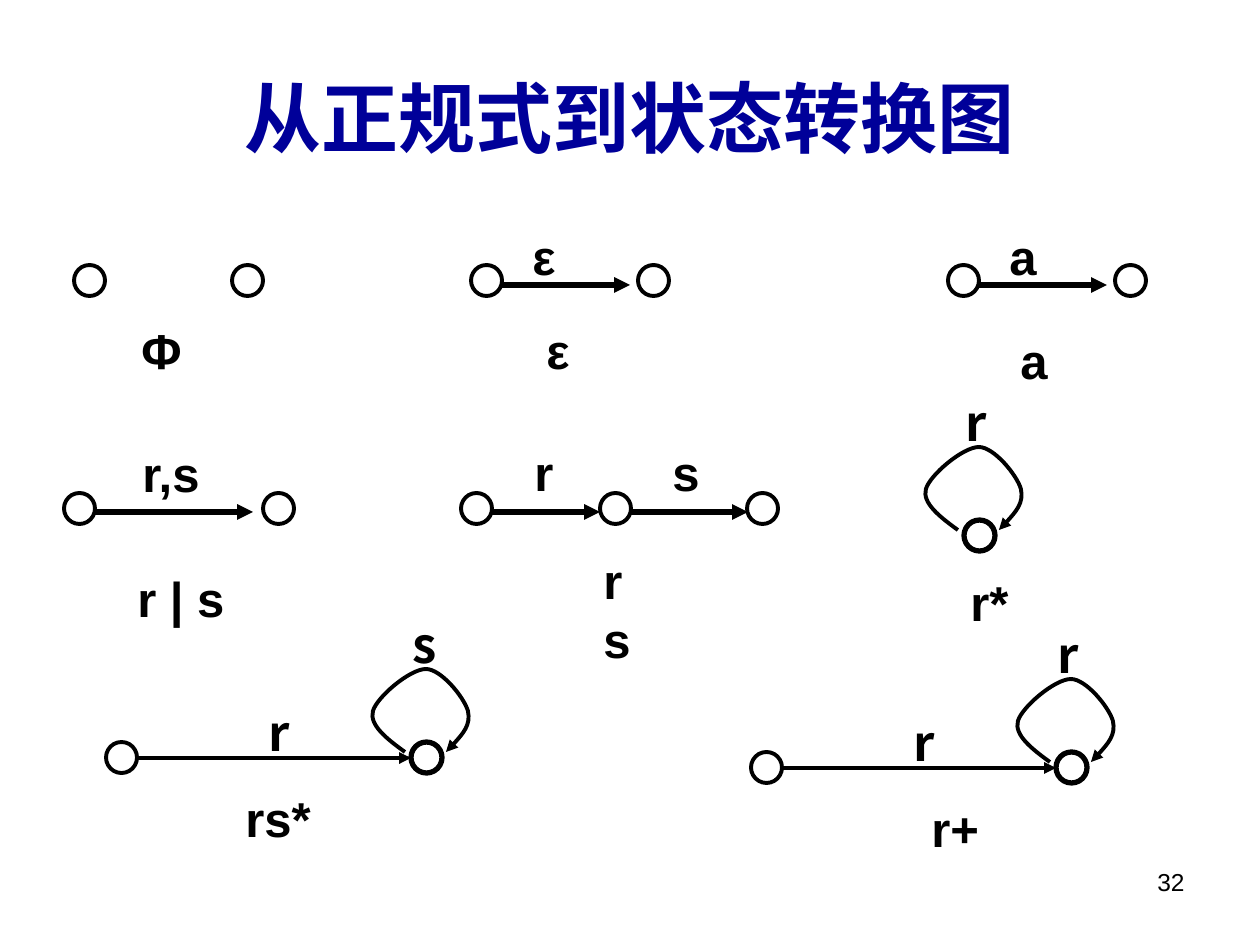
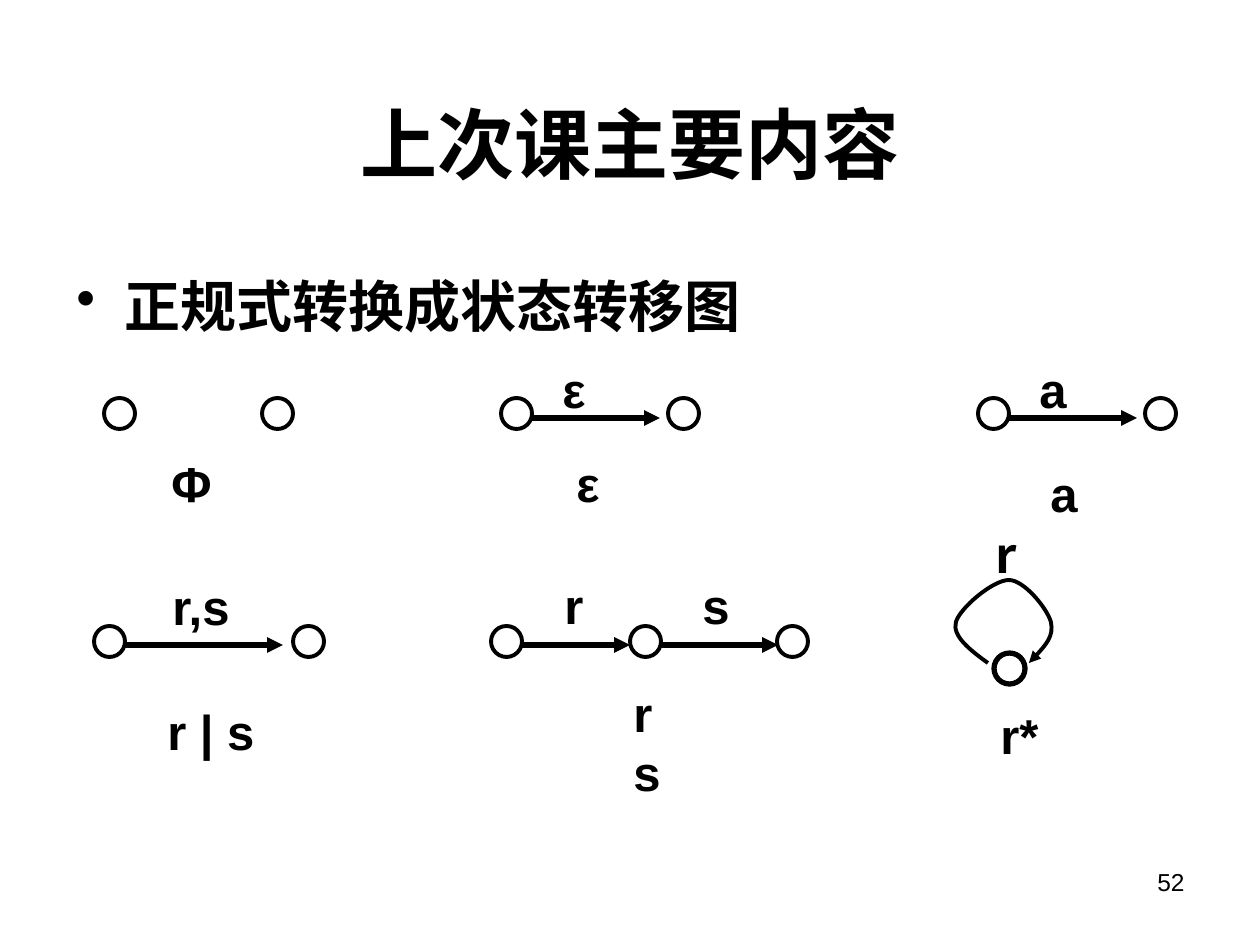
from lxml import etree
from pptx import Presentation
from pptx.dml.color import RGBColor
from pptx.enum.shapes import MSO_CONNECTOR, MSO_SHAPE
from pptx.enum.text import MSO_ANCHOR, MSO_AUTO_SIZE, PP_ALIGN
from pptx.oxml.ns import qn
from pptx.util import Emu, Pt

STRAIGHT = MSO_CONNECTOR.STRAIGHT
OVAL = MSO_SHAPE.OVAL
MIDDLE, BOTTOM = MSO_ANCHOR.MIDDLE, MSO_ANCHOR.BOTTOM
GROW = MSO_AUTO_SIZE.SHAPE_TO_FIT_TEXT
LEFT, CENTER, RIGHT = PP_ALIGN.LEFT, PP_ALIGN.CENTER, PP_ALIGN.RIGHT

PX_PER_INCH = 126
BLACK, NAVY = "000000", "000099"
SANS, SERIF, CJK = "Arial", "Times New Roman", "Noto Sans CJK SC"
THIN, THICK = 2.25, 3
STATE = 31
LABEL_SIZE = (84, 77)
CAPTION_HEIGHT = 72
LOOP_START = (-6, 10)
LOOP_POINTS = [
    (-24, -3), (-42, -17), (-38, -31),
    (-34, -45), (-1, -73), (15, -73),
    (30, -73), (53, -45), (57, -31),
    (60, -17), (48, -3), (35, 10),
]


def px(length):
    """Turn px into EMU."""
    return Emu(round(length * 914400 / PX_PER_INCH))


def color(value):
    """Turn a hex string into a colour."""
    return RGBColor.from_string(value)


def add_text(page, box, text, size=28, font=SANS, fill=BLACK, bold=True,
             align=LEFT, anchor=None, wrap=True, grow=False, spacing=None):
    """Add a text box with one paragraph and return the paragraph."""
    frame = page.shapes.add_textbox(*map(px, box)).text_frame
    frame.word_wrap = wrap
    if grow:
        frame.auto_size = GROW
    if anchor is not None:
        frame.vertical_anchor = anchor
    para = frame.paragraphs[0]
    para.text = text
    para.alignment = align
    if spacing:
        para.line_spacing = spacing
    para.font.name, para.font.size, para.font.bold = font, Pt(size), bold
    para.font.color.rgb = color(fill)
    return para


def add_label(page, left, top, text, font=SANS):
    """Add the label of a transition."""
    add_text(page, (left, top, *LABEL_SIZE), text, font=font, grow=True, spacing=1.1)


def add_caption(page, left, top, width, text, height=CAPTION_HEIGHT, spacing=None):
    """Add text on a single unwrapped line."""
    add_text(page, (left, top, width, height), text, wrap=False, grow=True, spacing=spacing)


def add_state(page, left, top, weight=THIN):
    """Add the circle of a state."""
    state = page.shapes.add_shape(OVAL, px(left), px(top), px(STATE), px(STATE))
    state.shadow.inherit = False
    state.fill.background()
    state.line.color.rgb = color(BLACK)
    state.line.width = Pt(weight)


def style_arrow(arrow, weight):
    """Give a line its colour, width and arrowhead."""
    arrow.line.color.rgb = color(BLACK)
    arrow.line.width = Pt(weight)
    etree.SubElement(arrow.line._get_or_add_ln(), qn("a:tailEnd"), type="triangle")


def add_arrow(page, start, end, level, weight=THICK):
    """Add a horizontal arrow."""
    arrow = page.shapes.add_connector(STRAIGHT, px(start), px(level), px(end), px(level))
    style_arrow(arrow, weight)
    etree.SubElement(arrow._element.spPr, qn("a:effectLst"))


def add_loop(page, left, top, text):
    """Add a state with a curved arrow back to itself."""
    add_state(page, left, top, THICK)
    add_label(page, left - 11, top - 140, text, CJK)
    points = [(px(left + x), px(top + y)) for x, y in [LOOP_START, *LOOP_POINTS]]
    builder = page.shapes.build_freeform(*points[0])
    builder.add_line_segments(points[1:], close=False)
    loop = builder.convert_to_shape()
    loop.shadow.inherit = False
    loop.fill.background()
    style_arrow(loop, THIN)
    outline = next(loop._element.iter(qn("a:path")))
    segments = outline.findall(qn("a:lnTo"))
    for first in range(0, len(segments), 3):
        curve = etree.SubElement(outline, qn("a:cubicBezTo"))
        for segment in segments[first:first + 3]:
            curve.append(segment[0])
            outline.remove(segment)


def add_symbol_machine(page, left, top, text):
    """Add two states joined by one symbol."""
    add_state(page, left, top)
    add_state(page, left + 167, top)
    add_arrow(page, left + 30, left + 159, top + 20)
    add_label(page, left + 49, top - 51, text)


def add_choice_machine(page, left, top):
    """Add two states joined by either symbol."""
    add_state(page, left, top)
    add_state(page, left + 199, top)
    add_arrow(page, left + 30, left + 189, top + 19)
    add_caption(page, left + 66, top - 56, 84, "r,s")


def add_sequence_machine(page, left, top):
    """Add three states joined in a row."""
    for offset in (0, 139, 286):
        add_state(page, left + offset, top)
    for start, end in ((30, 139), (169, 287)):
        add_arrow(page, left + start, left + end, top + 19)
    for offset, width, text in ((61, 44, "r"), (199, 52, "s")):
        add_caption(page, left + offset, top - 57, width, text)


def add_repeat_machine(page, left, top, repeated, caption, caption_left, caption_width):
    """Add a state that leads to a looping state."""
    add_state(page, left, top)
    add_arrow(page, left + STATE, left + 305, top + 16, THIN)
    add_label(page, left + 150, top - 52, "r", CJK)
    add_loop(page, left + 305, top, repeated)
    add_caption(page, left + caption_left, top + 40, caption_width, caption)


def add_basic_machines(page, left, top):
    """Add the six basic machines with their captions."""
    for offset in (10, 168):
        add_state(page, left + offset, top + 51)
    for offset, text in ((407, "ε"), (884, "a")):
        add_symbol_machine(page, left + offset, top + 51, text)
    add_choice_machine(page, left, top + 279)
    add_sequence_machine(page, left + 397, top + 279)
    add_loop(page, left + 900, top + 306, "r")
    captions = [
        (65, 100, 66, "Φ"), (470, 100, 48, "ε"), (944, 110, 52, "a"),
        (61, 348, 112, "r | s"), (527, 330, 71, "rs"),
    ]
    for x, y, width, text in captions:
        add_caption(page, left + x, top + y, width, text)
    add_caption(page, left + 894, top + 364, 63, "r*", 60, 0.8)


def add_bullet(page, box, text):
    """Add a bulleted line."""
    para = add_text(page, box, text, size=32, font=SERIF)
    properties = para._p.get_or_add_pPr()
    properties.set("marL", str(px(48)))
    properties.set("indent", str(px(-48)))
    bullet = etree.Element(qn("a:buChar"), char="•")
    properties.insert(0, bullet)


def add_page(deck, title, number, font, fill, anchor):
    """Add a slide with its title and number."""
    page = deck.slides.add_slide(deck.slide_layouts[6])
    add_text(page, (63, 38, 1134, 157), title, 44, font, fill, align=CENTER, anchor=anchor)
    add_text(page, (903, 861, 294, 66), number, 14, bold=False, align=RIGHT)
    return page


def build_machines_page(deck):
    """Build the slide with all eight machines."""
    page = add_page(deck, "从正规式到状态转换图", "32", SERIF, NAVY, MIDDLE)
    add_basic_machines(page, 64, 214)
    add_repeat_machine(page, 106, 742, "s", "rs*", 127, 91)
    add_repeat_machine(page, 751, 752, "r", "r+", 168, 73)


def build_review_page(deck):
    """Build the slide that reviews the basic machines."""
    page = add_page(deck, "上次课主要内容", "52", SANS, BLACK, BOTTOM)
    add_bullet(page, (64, 265, 1171, 108), "正规式转换成状态转移图")
    add_basic_machines(page, 94, 347)


def main():
    """Build and save the deck."""
    deck = Presentation()
    deck.slide_width, deck.slide_height = px(1260), px(945)
    build_machines_page(deck)
    build_review_page(deck)
    deck.save("out.pptx")


if __name__ == "__main__":
    main()
